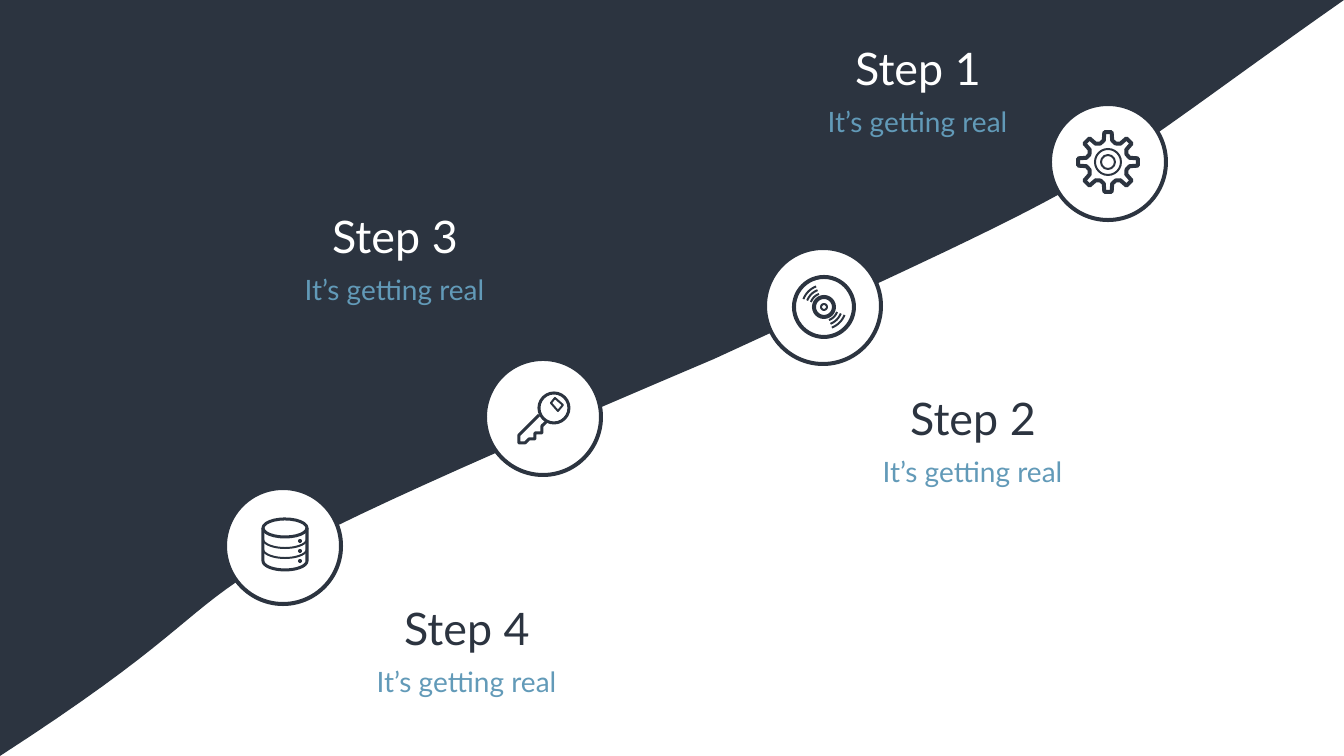
from math import cos, radians, sin

from lxml.etree import SubElement
from pptx import Presentation
from pptx.dml.color import RGBColor as Color
from pptx.enum.shapes import MSO_SHAPE as Shape
from pptx.enum.text import MSO_ANCHOR as Anchor, PP_ALIGN as Align
from pptx.oxml.ns import qn
from pptx.util import Pt

PX = 914400 / 100.8
COLORS = {"navy": "2C3440", "white": "FFFFFF", "blue": "629AB8"}

presentation = Presentation()
presentation.slide_width = round(1344 * PX)
presentation.slide_height = round(756 * PX)
slide = presentation.slides.add_slide(presentation.slide_layouts[6])


def add_text(text, left, top, width, height, size, color, anchor=Anchor.TOP, before=0):
    box = slide.shapes.add_textbox(*(round(v * PX) for v in (left, top, width, height)))
    frame = box.text_frame
    frame.word_wrap = True
    frame.vertical_anchor = anchor
    paragraph = frame.paragraphs[0]
    paragraph.alignment = Align.CENTER
    paragraph.line_spacing = 0.9
    paragraph.space_before = Pt(before)
    run = paragraph.add_run()
    run.text = text
    run.font.name = "Lato"
    run.font.size = Pt(size)
    run.font.color.rgb = Color.from_string(COLORS[color])


def paint(shape, fill=None, line=0):
    shape.shadow.inherit = False
    if fill:
        shape.fill.solid()
        shape.fill.fore_color.rgb = Color.from_string(COLORS[fill])
    else:
        shape.fill.background()
    if line:
        shape.line.color.rgb = Color.from_string(COLORS["navy"])
        shape.line.width = round(line * PX)
        SubElement(shape.line._get_or_add_ln(), qn("a:round"))
    else:
        shape.line.fill.background()


slope_curves = [
    [(1344, 0), (1062, 198), (1153, 157), (714, 359)],
    [(714, 359), (71, 632), (325, 546), (0, 756)],
]
slope = [(0, 0)]
for start, pull, push, end in slope_curves:
    for step in range(31):
        t = step / 30
        weights = ((1 - t) ** 3, 3 * t * (1 - t) ** 2, 3 * t * t * (1 - t), t ** 3)
        slope.append(tuple(
            sum(weight * point[axis] for weight, point in zip(weights, (start, pull, push, end)))
            for axis in (0, 1)
        ))
slope = [(x * PX, y * PX) for x, y in slope]
builder = slide.shapes.build_freeform(*slope[0])
builder.add_line_segments(slope[1:], close=True)
paint(builder.convert_to_shape(), fill="navy")

steps = [
    ("Step 3", 161, 207, "white"),
    ("Step 1", 684, 39, "white"),
    ("Step 4", 233, 599, "navy"),
    ("Step 2", 739, 389, "navy"),
]
for title, left, top, color in steps:
    add_text(title, left, top, 468, 65, size=32, color=color, anchor=Anchor.MIDDLE)
    add_text("It’s getting real", left + 58, top + 64, 351, 63, size=20, color="blue", before=10)

badge_centers = {"gear": (1108, 162), "disc": (823, 306), "key": (543, 417), "database": (283, 546)}
badges = {name: slide.shapes.add_group_shape().shapes for name in badge_centers}
ovals = [(name, x, y, 58, 58, "white", 4) for name, (x, y) in badge_centers.items()]
ovals += [
    ("gear", 1108, 162, 13, 13, None, 2),
    ("gear", 1108, 162, 7, 7, None, 2),
    ("disc", 824, 307, 30, 30, None, 4),
    ("disc", 824, 307, 10, 10, None, 4),
    ("disc", 824, 307, 3, 3, None, 2),
    ("key", 554, 408, 15, 15, None, 3),
    ("database", 285, 528, 22, 9, None, 3),
]
ovals += [("database", 300, y, 2, 2, "navy", 0) for y in (541, 551, 561)]
for name, x, y, radius_x, radius_y, fill, line in ovals:
    bounds = (x - radius_x, y - radius_y, 2 * radius_x, 2 * radius_y)
    paint(badges[name].add_shape(Shape.OVAL, *(round(v * PX) for v in bounds)), fill, line)

tooth = [(-11, 22), (-7, 30), (7, 30), (11, 22), (22, 20)]
gear_outline = [
    (1108 + radius * cos(radians(turn + angle)), 162 + radius * sin(radians(turn + angle)))
    for turn in range(0, 360, 45) for angle, radius in tooth
]
key_shaft = [
    (539, 415), (519, 435), (519, 443), (525, 443), (529, 439),
    (535, 439), (535, 433), (542, 433), (542, 426), (547, 421),
]
key_hole = [(555, 398), (563, 405), (558, 411), (551, 403)]
database_rim = [
    (285 + 22 * cos(radians(angle)), 9 * sin(radians(angle))) for angle in range(0, 181, 10)
]
database_body = [(307, 528)] + [(x, 561 + y) for x, y in database_rim] + [(263, 528)]
strokes = [
    ("gear", gear_outline, True, 4),
    ("key", key_shaft, False, 3),
    ("key", key_hole, True, 2),
    ("database", database_body, False, 3),
]
strokes += [
    ("database", [(x, top + y) for x, y in database_rim], False, 2) for top in (539, 549)
]
strokes += [
    ("disc", [
        (824 + radius * cos(radians(angle)), 307 + radius * sin(radians(angle)))
        for angle in range(start, start + 49, 6)
    ], False, 2)
    for start in (21, 201) for radius in (14, 18, 22)
]
for name, points, closed, line in strokes:
    points = [(x * PX, y * PX) for x, y in points]
    builder = badges[name].build_freeform(*points[0])
    builder.add_line_segments(points[1:], close=closed)
    paint(builder.convert_to_shape(), line=line)

presentation.save("out.pptx")
